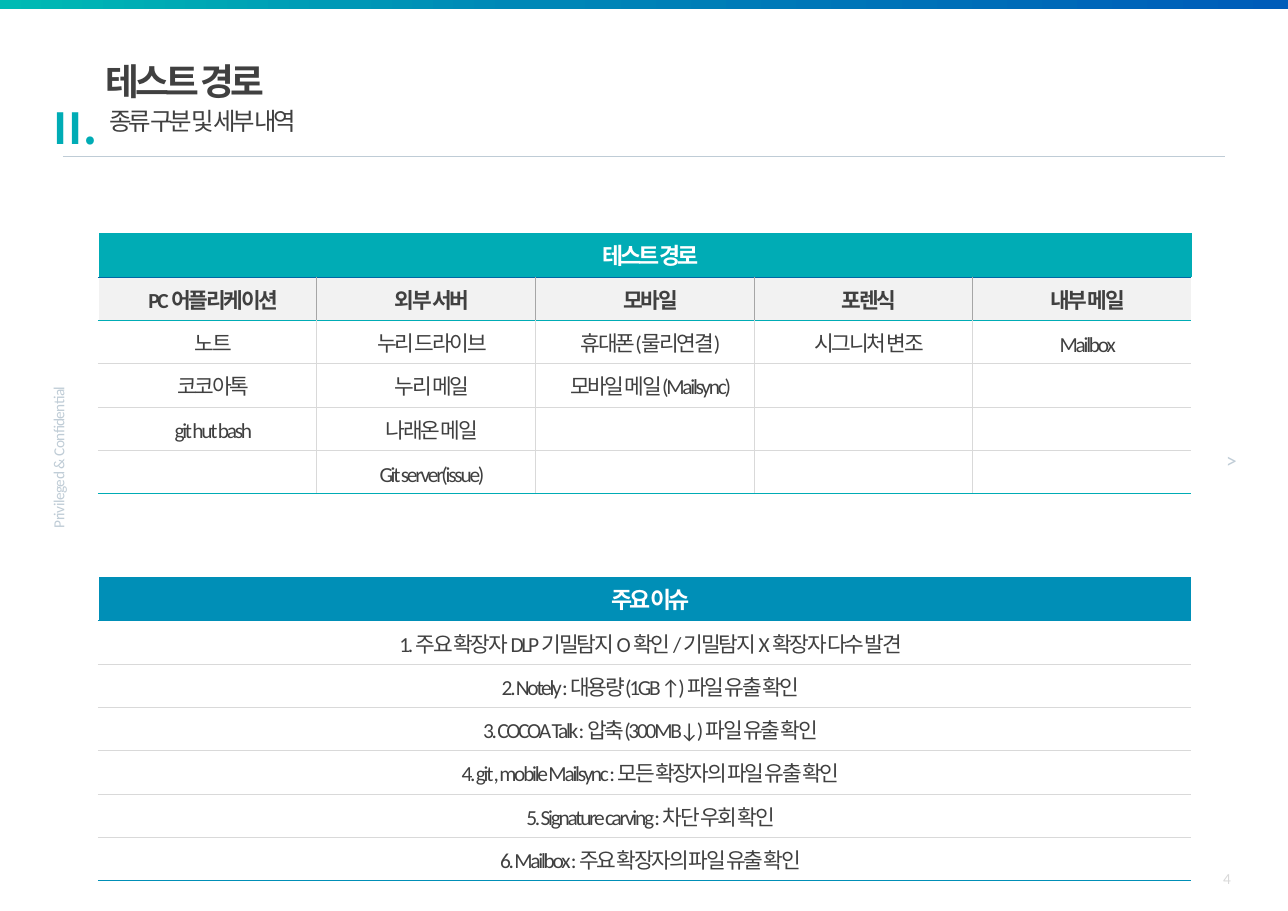
from dataclasses import dataclass

from lxml.etree import SubElement
from pptx import Presentation
from pptx.dml.color import RGBColor
from pptx.enum.shapes import MSO_CONNECTOR, MSO_SHAPE
from pptx.enum.text import MSO_ANCHOR as Anchor, MSO_AUTO_SIZE as AutoSize, PP_ALIGN as Align
from pptx.oxml.ns import qn
from pptx.util import Inches, Pt

WIDTH, HEIGHT = Inches(11.69), Inches(8.27)
WHITE = RGBColor(0xFF, 0xFF, 0xFF)
INK = RGBColor(0x40, 0x40, 0x40)
TEAL = RGBColor(0x00, 0xAC, 0xB5)
BLUE = RGBColor(0x00, 0x8F, 0xB7)
NAVY = RGBColor(0x00, 0x68, 0xA6)
MIST = RGBColor(0xBF, 0xCC, 0xD6)
PALE = RGBColor(0xF2, 0xF2, 0xF2)
SILVER = RGBColor(0xD9, 0xD9, 0xD9)
GREY = RGBColor(0xA6, 0xA6, 0xA6)
BAR_START, BAR_END = RGBColor(0x00, 0xBB, 0xB4), RGBColor(0x00, 0x5C, 0xB9)
LATIN, HANGUL = "Calibri", "Noto Sans CJK KR"
TABLE_LEFT, TABLE_WIDTH, ROW_HEIGHT = 7.61, 84.86, 4.76


@dataclass(frozen=True)
class Style:
    size: float
    color: RGBColor
    spacing: float = 0
    bold: bool = False
    font: str = LATIN
    align: Align = Align.LEFT
    line_spacing: float | Pt | None = None


@dataclass(frozen=True)
class Label:
    text: str
    box: tuple[float, float, float, float]
    style: Style
    left_inset: float = 0.1
    rotation: int = 0
    wrap: bool = False
    anchor: Anchor = Anchor.TOP


@dataclass(frozen=True)
class Grid:
    top: float
    title: str
    accent: RGBColor
    title_rule: RGBColor
    rows: list[list[str]]
    has_headings: bool = False


TABLE_TITLE = Style(15, WHITE, -2, True, align=Align.CENTER, line_spacing=Pt(21))
TABLE_HEADING = Style(14, INK, -1.5, True, align=Align.CENTER, line_spacing=Pt(21))
TABLE_BODY = Style(14, INK, -1.5, align=Align.CENTER, line_spacing=Pt(21))

TITLE = Label("테스트 경로", (8.21, 5.32, 14.11, 6.29),
              Style(24, INK, -2.5, True, line_spacing=1.1), left_inset=0)
SUBTITLE = Label("종류 구분 및 세부 내역", (7.61, 10.76, 18.56, 4.47),
                 Style(16, INK, -2, font=HANGUL, line_spacing=1.1))
LABELS = [
    Label(">", (94.35, 47.64, 2.57, 4.96), Style(14, MIST, line_spacing=1.3)),
    Label("Privileged & Confidential", (-2.22, 48, 13.09, 3.87),
          Style(10, MIST, -0.3, line_spacing=1.3), rotation=270),
    Label("II.", (3.34, 10.04, 5.39, 7.13),
          Style(28, TEAL, 0.5, True, HANGUL, line_spacing=1.1)),
    Label("4", (73.91, 93.71, 22.5, 5.32), Style(10, SILVER, align=Align.RIGHT),
          wrap=True, anchor=Anchor.MIDDLE),
]
GRIDS = [
    Grid(25.63, "테스트 경로", TEAL, NAVY, [
        ["PC 어플리케이션", "외부 서버", "모바일", "포렌식", "내부 메일"],
        ["노트", "누리 드라이브", "휴대폰(물리연결)", "시그니처 변조", "Mailbox"],
        ["코코아톡", "누리 메일", "모바일 메일(Mailsync)", "", ""],
        ["git hut bash", "나래온 메일", "", "", ""],
        ["", "Git server(issue)", "", "", ""],
    ], has_headings=True),
    Grid(63.36, "주요 이슈", BLUE, BLUE, [
        ["1. 주요 확장자 DLP 기밀탐지 O 확인 / 기밀탐지 X 확장자 다수 발견"],
        ["2. Notely : 대용량(1GB ↑) 파일 유출 확인"],
        ["3. COCOA Talk : 압축(300MB↓) 파일 유출 확인"],
        ["4. git , mobile Mailsync : 모든 확장자의 파일 유출 확인"],
        ["5. Signature carving : 차단 우회 확인"],
        ["6. Mailbox : 주요 확장자의 파일 유출 확인"],
    ]),
]


def across(percent: float) -> int:
    return round(WIDTH * percent / 100)


def down(percent: float) -> int:
    return round(HEIGHT * percent / 100)


def place(box: tuple[float, float, float, float]) -> tuple[int, int, int, int]:
    left, top, width, height = box
    return across(left), down(top), across(width), down(height)


def write(paragraph, text: str, style: Style) -> None:
    paragraph.text = text
    paragraph.alignment = style.align
    if style.line_spacing:
        paragraph.line_spacing = style.line_spacing
    font = paragraph.font
    font.size, font.bold = Pt(style.size), style.bold
    font.color.rgb = style.color
    font.name = style.font
    properties = paragraph._p.pPr.find(qn("a:defRPr"))
    properties.set("spc", str(round(style.spacing * 100)))
    SubElement(properties, qn("a:ea")).set("typeface", HANGUL)


def fill_label(shape, label: Label) -> None:
    shape.left, shape.top, shape.width, shape.height = place(label.box)
    shape.rotation = label.rotation
    frame = shape.text_frame
    frame.word_wrap = label.wrap
    frame.auto_size = AutoSize.NONE if label.wrap else AutoSize.SHAPE_TO_FIT_TEXT
    frame.vertical_anchor = label.anchor
    frame.margin_left = Inches(label.left_inset)
    write(frame.paragraphs[0], label.text, label.style)


def draw_frame(slide) -> None:
    """Draw the gradient bar at the top and the rule under the heading."""
    bar = slide.shapes.add_shape(MSO_SHAPE.RECTANGLE, *place((0, 0, 100, 0.97)))
    bar.shadow.inherit = False
    bar.line.fill.background()
    bar.fill.gradient()
    bar.fill.gradient_angle = 0
    stops = bar.fill._fill._gradFill.gsLst
    stops.clear()
    for position, color in ((0, BAR_START), (40, RGBColor(0x00, 0x88, 0xB7)), (100, BAR_END)):
        stop = SubElement(stops, qn("a:gs"), pos=str(position * 1000))
        SubElement(stop, qn("a:srgbClr"), val=str(color))
    rule = slide.shapes.add_connector(
        MSO_CONNECTOR.STRAIGHT, across(4.88), down(17.17), across(95.12), down(17.17))
    rule.line.color.rgb, rule.line.width = MIST, Pt(0.25)
    SubElement(rule._element.spPr, qn("a:effectLst"))


def format_cell(cell, fill: RGBColor, borders: dict[str, tuple[RGBColor, float]]) -> None:
    cell.vertical_anchor = Anchor.MIDDLE
    cell.margin_left = Inches(0.15)
    cell.margin_top = cell.margin_right = cell.margin_bottom = Inches(0.04)
    properties = cell._tc.get_or_add_tcPr()
    for side, (color, width) in borders.items():
        line = SubElement(properties, qn(f"a:ln{side}"), w=str(Pt(width)))
        SubElement(SubElement(line, qn("a:solidFill")), qn("a:srgbClr"), val=str(color))
    cell.fill.solid()
    cell.fill.fore_color.rgb = fill


def draw_grid(slide, grid: Grid) -> None:
    column_count = len(grid.rows[0])
    rows = [[grid.title] + [""] * (column_count - 1)] + grid.rows
    box = place((TABLE_LEFT, grid.top, TABLE_WIDTH, ROW_HEIGHT * len(rows)))
    table = slide.shapes.add_table(len(rows), column_count, *box).table
    rules = [(SILVER, 0.25)] * len(rows)
    rules[0], rules[-1] = (grid.title_rule, 0.25), (grid.accent, 0.5)
    if grid.has_headings:
        rules[1] = (grid.accent, 0.25)
    for row, texts in enumerate(rows):
        if row == 0:
            style, fill, divider = TABLE_TITLE, grid.accent, grid.accent
        elif row == 1 and grid.has_headings:
            style, fill, divider = TABLE_HEADING, PALE, GREY
        else:
            style, fill, divider = TABLE_BODY, WHITE, SILVER
        for column, text in enumerate(texts):
            cell = table.cell(row, column)
            format_cell(cell, fill, {
                "L": (divider if column else WHITE, 0.25),
                "R": (divider if column < column_count - 1 else WHITE, 0.25),
                "T": rules[row - 1] if row else (grid.accent, 0.25),
                "B": rules[row],
            })
            write(cell.text_frame.paragraphs[0], text, style)
    if column_count > 1:
        table.cell(0, 0).merge(table.cell(0, column_count - 1))


def main() -> None:
    presentation = Presentation()
    presentation.slide_width, presentation.slide_height = WIDTH, HEIGHT
    slide = presentation.slides.add_slide(presentation.slide_layouts[1])
    draw_frame(slide)
    fill_label(slide.shapes.title, TITLE)
    subtitle = slide.placeholders[1]
    paragraph = subtitle.text_frame.paragraphs[0]
    paragraph.space_before = Pt(0)
    indents = paragraph._p.get_or_add_pPr()
    indents.set("marL", "0")
    indents.set("indent", "0")
    SubElement(indents, qn("a:buNone"))
    fill_label(subtitle, SUBTITLE)
    for label in LABELS:
        fill_label(slide.shapes.add_textbox(*place(label.box)), label)
    for grid in GRIDS:
        draw_grid(slide, grid)
    presentation.save("out.pptx")


if __name__ == "__main__":
    main()
